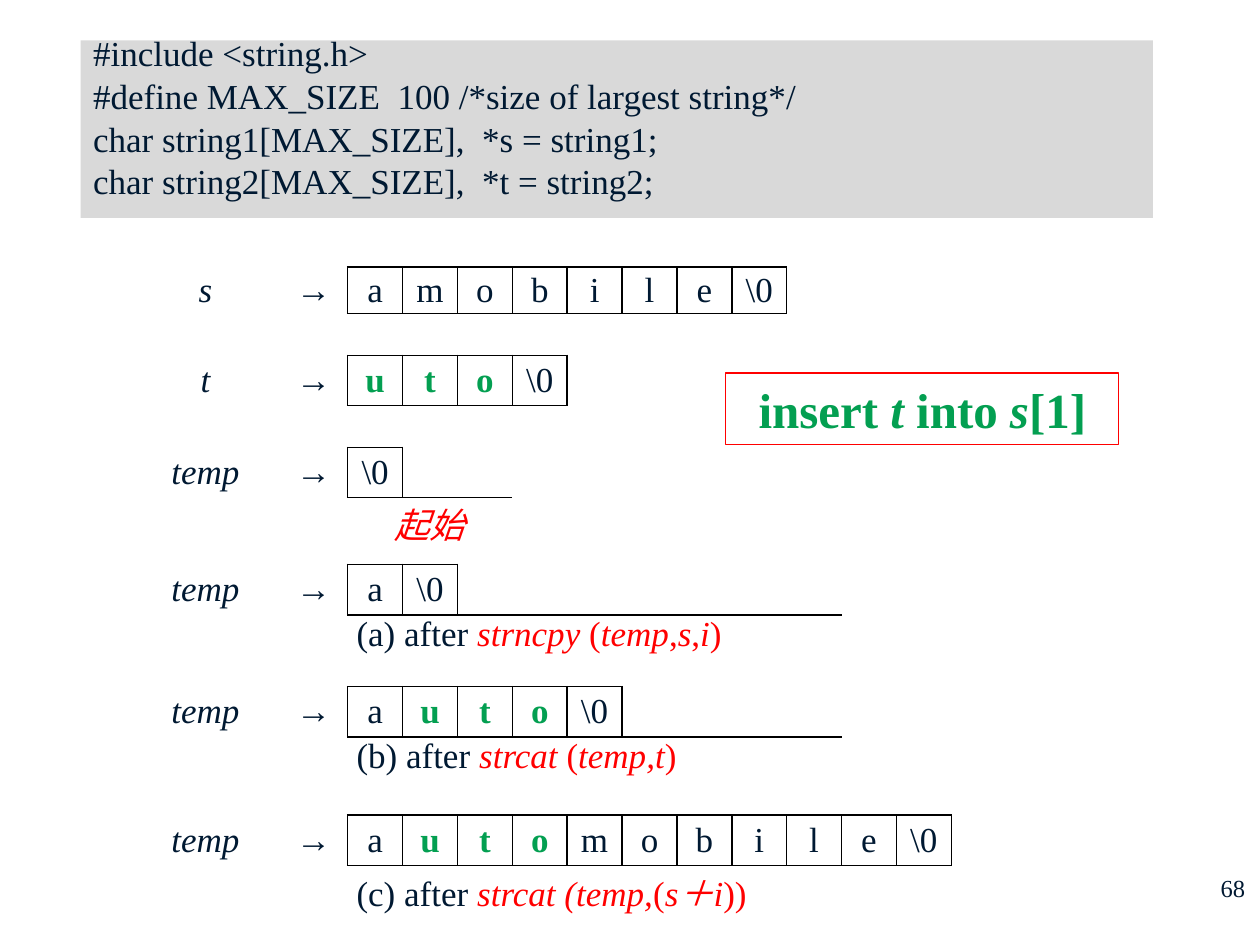
from dataclasses import dataclass
from typing import Optional

from lxml import etree
from pptx import Presentation
from pptx import util as u
from pptx.dml.color import RGBColor
from pptx.enum import shapes, text
from pptx.oxml.ns import qn

Inches, Pt = u.Inches, u.Pt


@dataclass(frozen=True)
class Theme:
    font: str = "Times New Roman"
    cjk_font: str = "Noto Sans CJK SC"
    ink: str = "001932"
    green: str = "039F51"
    red: str = "FF0000"
    panel: str = "D9D9D9"
    grid: str = "000000"
    body: int = 20
    callout: int = 28
    number: int = 14
    spacer: int = 6


@dataclass(frozen=True)
class Span:
    text: str
    color: str = Theme.ink
    bold: bool = False
    italic: bool = False
    size: int = Theme.body
    font: str = Theme.font


@dataclass(frozen=True)
class Caption:
    spans: list[Span]
    columns: int = 9
    align: text.PP_ALIGN = text.PP_ALIGN.LEFT
    anchor: text.MSO_ANCHOR = text.MSO_ANCHOR.TOP


@dataclass(frozen=True)
class StringRow:
    name: str
    chars: str  # the closing \0 is added when drawn
    inserted: range = range(0)
    caption: Optional[Caption] = None


T = Theme()
NO_STYLE = "{2D5ABB26-0587-4C30-8999-92F81FD0307C}"
LABEL_COLS = 2
CHAR_COLS = 11
COLUMNS = [1.18, 0.54] + [4.79 / CHAR_COLS] * CHAR_COLS
ROWS = [0.37, 0.33, 0.4, 0.33, 0.4, 0.53, 0.4, 0.57, 0.4, 0.62, 0.4, 0.4]

CODE = [
    "#include <string.h>",
    "#define MAX_SIZE  100 /*size of largest string*/",
    "char string1[MAX_SIZE],  *s = string1;",
    "char string2[MAX_SIZE],  *t = string2;",
]


def red(content: str, italic: bool = True, font: str = T.font) -> Span:
    return Span(content, T.red, italic=italic, font=font)


def call(label: str, *parts: str) -> list[Span]:
    """Label in ink, then red parts that alternate italic and upright."""
    return [Span(f"({label}) after ")] + [
        red(part, italic=i % 2 == 0) for i, part in enumerate(parts)]


STRINGS = [
    StringRow("s", "amobile"),
    StringRow("t", "uto", range(3)),
    StringRow("temp", "", caption=Caption(
        [red("起始", font=T.cjk_font)], 3, text.PP_ALIGN.CENTER)),
    StringRow("temp", "a", caption=Caption(
        call("a", "strncpy ", "(", "temp", ",", "s", ",", "i", ")"))),
    StringRow("temp", "auto", range(1, 4), Caption(
        call("b", "strcat ", "(", "temp,t", ")"))),
    StringRow("temp", "automobile", range(1, 4), Caption(
        call("c", "strcat (temp,", "(", "s＋i", "))"),
        anchor=text.MSO_ANCHOR.MIDDLE)),
]


def add_spans(p, spans: list[Span], align=text.PP_ALIGN.LEFT) -> None:
    p.alignment = align
    for span in spans:
        r = p.add_run()
        r.text = span.text
        formats = {"name": span.font, "size": Pt(span.size),
                   "bold": span.bold, "italic": span.italic}
        for key, value in formats.items():
            setattr(r.font, key, value)
        r.font.color.rgb = RGBColor.from_string(span.color)
        if span.font == T.cjk_font:
            etree.SubElement(r.font._element, qn("a:ea"), typeface=span.font)


def add_box(s, left: float, top: float, width: float, height: float,
            fill: Optional[str] = None, line: Optional[str] = None):
    sp = s.shapes.add_shape(shapes.MSO_SHAPE.RECTANGLE, Inches(left),
                            Inches(top), Inches(width), Inches(height))
    sp.shadow.inherit = False
    if fill:
        sp.fill.solid()
        sp.fill.fore_color.rgb = RGBColor.from_string(fill)
    else:
        sp.fill.background()
    if line:
        sp.line.color.rgb = RGBColor.from_string(line)
        sp.line.width = Pt(0.75)
    else:
        sp.line.fill.background()
    sp.text_frame.word_wrap = True
    return sp


def add_code(s) -> None:
    tf = add_box(s, 0.64, 0.32, 8.51, 1.41, fill=T.panel).text_frame
    tf.vertical_anchor = text.MSO_ANCHOR.TOP
    for i, line in enumerate(CODE):
        p = tf.add_paragraph() if i else tf.paragraphs[0]
        p.line_spacing = 0.6
        p.space_before = Pt(10 if i else 0)
        add_spans(p, [Span(line)])


def add_callout(s) -> None:
    tf = add_box(s, 5.76, 2.96, 3.12, 0.57, line=T.red).text_frame
    tf.vertical_anchor = text.MSO_ANCHOR.MIDDLE
    parts = ["insert ", "t", " into ", "s", "[1]"]
    add_spans(tf.paragraphs[0],
              [Span(part, T.green, True, i % 2 == 1, T.callout)
               for i, part in enumerate(parts)], text.PP_ALIGN.CENTER)


def add_slide_number(s) -> None:
    tf = s.shapes.add_textbox(Inches(7.9), Inches(6.88),
                              Inches(2.08), Inches(0.5)).text_frame
    tf.word_wrap = True
    add_spans(tf.paragraphs[0], [Span("68", size=T.number)],
              text.PP_ALIGN.RIGHT)


def set_borders(cell, sides: str, cleared: str = "") -> None:
    """Draw some sides and clear others, each given in the order L, R, T, B."""
    props = cell._tc.get_or_add_tcPr()
    for i, side in enumerate(sides + cleared):
        ln = etree.Element(qn(f"a:ln{side}"), w=str(Pt(1)))
        if side in cleared:
            etree.SubElement(ln, qn("a:noFill"))
        else:
            fill = etree.SubElement(ln, qn("a:solidFill"))
            etree.SubElement(fill, qn("a:srgbClr"), val=T.grid)
        props.insert(i, ln)


def fill_cell(cell, spans: list[Span], align=text.PP_ALIGN.CENTER,
              anchor=text.MSO_ANCHOR.MIDDLE) -> None:
    cell.vertical_anchor = anchor
    add_spans(cell.text_frame.paragraphs[0], spans, align)


def add_caption(table, row: int, caption: Caption) -> None:
    last = LABEL_COLS + caption.columns - 1
    cell = table.cell(row, LABEL_COLS)
    cell.merge(table.cell(row, last))
    for col in range(LABEL_COLS, last + 1):
        set_borders(table.cell(row, col), "T", cleared="B")
    fill_cell(cell, caption.spans, caption.align, caption.anchor)


def add_strings(s) -> None:
    table = s.shapes.add_table(
        len(ROWS), len(COLUMNS), Inches(1.04), Inches(2.12),
        Inches(sum(COLUMNS)), Inches(sum(ROWS))).table
    table.first_row = table.horz_banding = False
    table._tbl.tblPr.find(qn("a:tableStyleId")).text = NO_STYLE
    for col, width in zip(table.columns, COLUMNS):
        col.width = Inches(width)
    for row, height in zip(table.rows, ROWS):
        row.height = Inches(height)
    for cell in table.iter_cells():
        cell.fill.background()
        cell.margin_left = cell.margin_right = Inches(0.07)
        cell.margin_top = cell.margin_bottom = 0
    for i, string in enumerate(STRINGS):
        row = 2 * i
        fill_cell(table.cell(row, 0), [Span(string.name, italic=True)])
        fill_cell(table.cell(row, 1), [Span("→")])
        chars = [*string.chars, "\\0"]
        for j, char in enumerate(chars):
            cell = table.cell(row, LABEL_COLS + j)
            new = j in string.inserted
            fill_cell(cell, [Span(char, T.green if new else T.ink, new)])
            set_borders(cell, "LRTB")
        for col in range(LABEL_COLS + len(chars), len(COLUMNS)):
            set_borders(table.cell(row, col), "", cleared="T")
        if string.caption:
            add_caption(table, row + 1, string.caption)
    for cell in table.iter_cells():
        if not cell.text:  # small type keeps empty rows at their height
            etree.SubElement(cell.text_frame.paragraphs[0]._p,
                             qn("a:endParaRPr"), sz=str(T.spacer * 100))


def main() -> None:
    prs = Presentation()
    prs.slide_width, prs.slide_height = Inches(10), Inches(7.5)
    s = prs.slides.add_slide(prs.slide_layouts[6])
    add_slide_number(s)
    add_code(s)
    add_callout(s)
    add_strings(s)
    prs.save("out.pptx")


if __name__ == "__main__":
    main()
